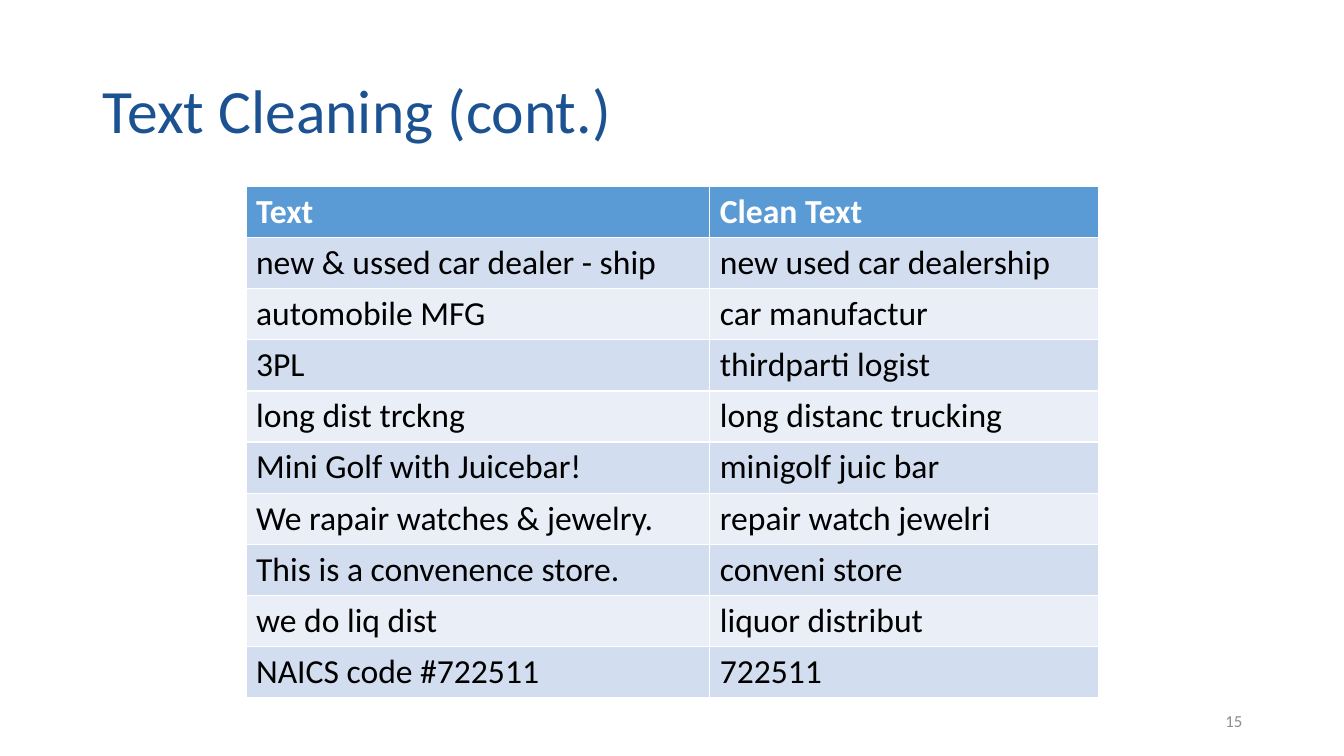
import pptx
import pptx.dml.color
import pptx.enum.text
import pptx.util
from dataclasses import dataclass
from pptx.util import Inches


@dataclass(frozen=True)
class Theme:
    font: str = "Calibri"
    title: str = "1C5292"
    header: str = "5B9BD5"
    bands: tuple = ("D2DEEF", "EAEFF7")
    white: str = "FFFFFF"
    black: str = "000000"
    grey: str = "8C8C8C"
    title_size: int = 44
    table_size: int = 24
    number_size: int = 12


theme = Theme()


def rgb(value):
    return pptx.dml.color.RGBColor.from_string(value)


def style(paragraph, size, color, bold=False):
    paragraph.font.name = theme.font
    paragraph.font.size = pptx.util.Pt(size)
    paragraph.font.color.rgb = rgb(color)
    paragraph.font.bold = bold


deck = pptx.Presentation()
deck.slide_width = Inches(13.33)
deck.slide_height = Inches(7.5)
slide = deck.slides.add_slide(deck.slide_layouts[5])

title = slide.shapes.title
title.left, title.top = Inches(0.92), Inches(0.4)
title.width, title.height = Inches(11.5), Inches(1.45)
title.text_frame.text = "Text Cleaning (cont.)"
title.text_frame.vertical_anchor = pptx.enum.text.MSO_ANCHOR.MIDDLE
heading = title.text_frame.paragraphs[0]
heading.alignment = pptx.enum.text.PP_ALIGN.LEFT
heading.line_spacing = 0.9
style(heading, theme.title_size, theme.title)

examples = [
    ("Text", "Clean Text"),
    ("new & ussed car dealer - ship", "new used car dealership"),
    ("automobile MFG", "car manufactur"),
    ("3PL", "thirdparti logist"),
    ("long dist trckng", "long distanc trucking"),
    ("Mini Golf with Juicebar!", "minigolf juic bar"),
    ("We rapair watches & jewelry.", "repair watch jewelri"),
    ("This is a convenence store.", "conveni store"),
    ("we do liq dist", "liquor distribut"),
    ("NAICS code #722511", "722511"),
]
row_height = 0.5
cleaning = slide.shapes.add_table(
    len(examples), 2, Inches(2.44), Inches(1.85),
    Inches(8.46), Inches(row_height * len(examples)),
).table
cleaning.columns[0].width = Inches(4.6)
cleaning.columns[1].width = Inches(3.86)

for row, example in enumerate(examples):
    is_header = row == 0
    fill = theme.header if is_header else theme.bands[(row - 1) % 2]
    color = theme.white if is_header else theme.black
    for column, words in enumerate(example):
        cell = cleaning.cell(row, column)
        cell.text = words
        cell.fill.solid()
        cell.fill.fore_color.rgb = rgb(fill)
        style(cell.text_frame.paragraphs[0], theme.table_size, color, is_header)

page_number = slide.shapes.add_textbox(
    Inches(9.42), Inches(6.95), Inches(3), Inches(0.4)
).text_frame
page_number.word_wrap = True
page_number.vertical_anchor = pptx.enum.text.MSO_ANCHOR.MIDDLE
page_number.text = "15"
page_number.paragraphs[0].alignment = pptx.enum.text.PP_ALIGN.RIGHT
style(page_number.paragraphs[0], theme.number_size, theme.grey)

deck.save("out.pptx")
